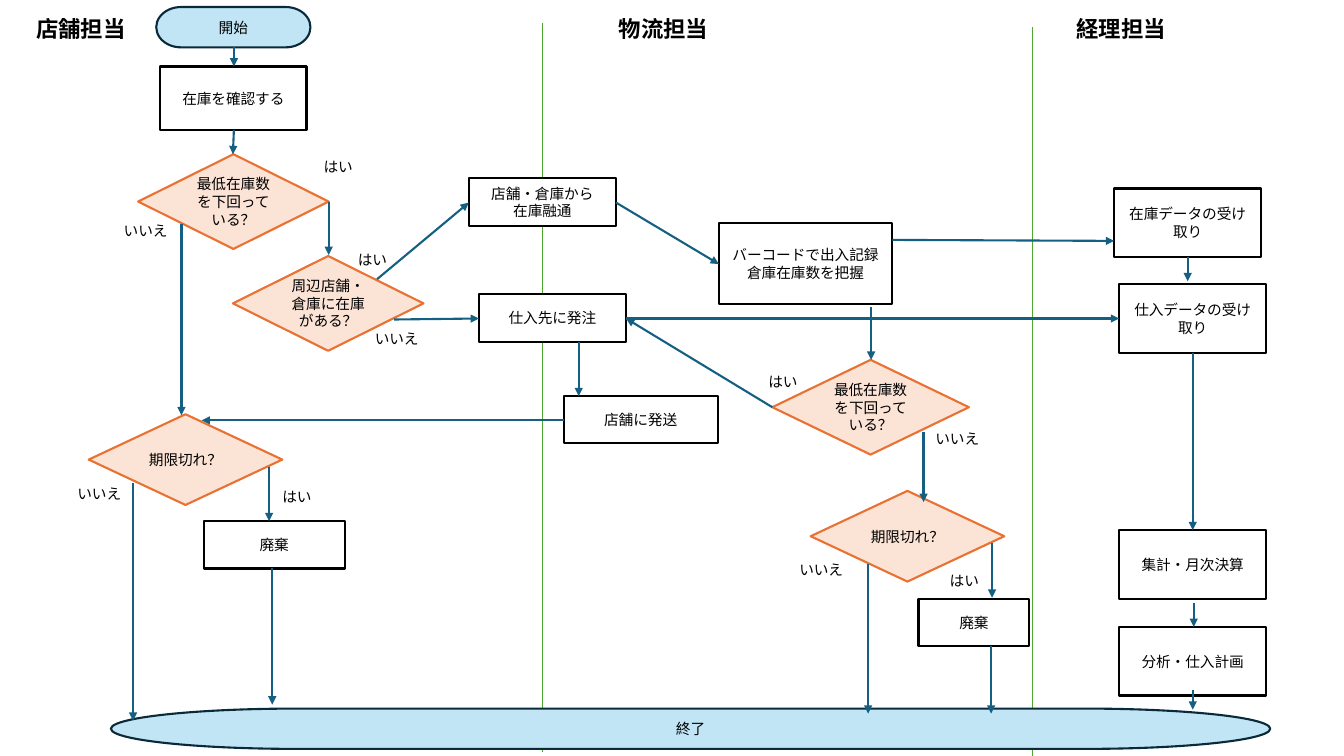
from lxml.etree import SubElement
from pptx import Presentation
from pptx.dml.color import RGBColor
from pptx.enum.shapes import MSO_CONNECTOR, MSO_SHAPE
from pptx.enum.text import MSO_ANCHOR, PP_ALIGN
from pptx.oxml.ns import qn
from pptx.util import Pt

PX = 9144  # 100 px to the inch
FONT = "Noto Sans CJK JP"
BLACK = RGBColor(0x00, 0x00, 0x00)
WHITE = RGBColor(0xFF, 0xFF, 0xFF)
GREEN = RGBColor(0x4E, 0xA7, 0x2E)
TEAL = RGBColor(0x15, 0x60, 0x82)
SKY = RGBColor(0xC1, 0xE5, 0xF5)
NAVY = RGBColor(0x09, 0x2A, 0x39)
PEACH = RGBColor(0xFB, 0xE3, 0xD6)
ORANGE = RGBColor(0xE9, 0x71, 0x32)

deck = Presentation()
deck.slide_width, deck.slide_height = 1333 * PX, 750 * PX
page = deck.slides.add_slide(deck.slide_layouts[6])


def write(box, text, size=10.5, bold=False, align=PP_ALIGN.CENTER, anchor=MSO_ANCHOR.MIDDLE):
    frame = box.text_frame
    frame.word_wrap = True
    frame.vertical_anchor = anchor
    for number, line in enumerate(text.split("\n")):
        para = frame.add_paragraph() if number else frame.paragraphs[0]
        para.alignment = align
        span = para.add_run()
        span.text = line
        span.font.size = Pt(size)
        span.font.bold = bold
        span.font.color.rgb = BLACK
        span.font.name = FONT
        SubElement(span.font._element, qn("a:ea"), typeface=FONT)


def draw_line(x1, y1, x2, y2, color, width, arrow=False):
    line = page.shapes.add_connector(
        MSO_CONNECTOR.STRAIGHT, x1 * PX, y1 * PX, x2 * PX, y2 * PX)
    line.line.color.rgb = color
    line.line.width = Pt(width)
    if arrow:
        SubElement(line.line._get_or_add_ln(), qn("a:tailEnd"), type="triangle")
    SubElement(line._element.spPr, qn("a:effectLst"))


# Lanes
draw_line(538, 23, 538, 746, GREEN, 1)
draw_line(1024, 27, 1024, 750, GREEN, 1)
for left, lane in [(26, "店舗担当"), (604, "物流担当"), (1058, "経理担当")]:
    title = page.shapes.add_textbox(left * PX, 10 * PX, 125 * PX, 37 * PX)
    write(title, lane, 16, True, PP_ALIGN.LEFT, MSO_ANCHOR.TOP)

# Steps: left, top, width, height, text
terminators = [(155, 7, 153, 40, "開始"), (110, 703, 1150, 40, "終了")]
processes = [
    (159, 66, 145, 63, "在庫を確認する"),
    (202, 517, 140, 47, "廃棄"),
    (465, 177, 146, 47, "店舗・倉庫から\n在庫融通"),
    (475, 292, 146, 47, "仕入先に発注"),
    (559, 393, 153, 47, "店舗に発送"),
    (713, 221, 172, 81, "バーコードで出入記録倉庫在庫数を把握"),
    (911, 594, 110, 47, "廃棄"),
    (1105, 187, 146, 68, "在庫データの受け取り"),
    (1110, 282, 146, 68, "仕入データの受け取り"),
    (1110, 526, 146, 68, "集計・月次決算"),
    (1110, 622, 146, 68, "分析・仕入計画"),
]
decisions = [
    (137, 153, 189, 94, "最低在庫数を下回っている？"),
    (231, 254, 189, 94, "周辺店舗・倉庫に在庫がある？"),
    (88, 411, 192, 90, "期限切れ？"),
    (766, 357, 195, 94, "最低在庫数を下回っている？"),
    (804, 487, 192, 90, "期限切れ？"),
]
for kind, fill, outline, steps in [
    (MSO_SHAPE.FLOWCHART_TERMINATOR, SKY, NAVY, terminators),
    (MSO_SHAPE.RECTANGLE, WHITE, BLACK, processes),
    (MSO_SHAPE.FLOWCHART_DECISION, PEACH, ORANGE, decisions),
]:
    for left, top, width, height, text in steps:
        step = page.shapes.add_shape(kind, left * PX, top * PX, width * PX, height * PX)
        step.shadow.inherit = False
        step.fill.solid()
        step.fill.fore_color.rgb = fill
        step.line.color.rgb = outline
        step.line.width = Pt(1.5)
        write(step, text)

# Arrows: start x, start y, end x, end y
for ends in [
    # Shop
    (232, 47, 232, 66), (232, 129, 231, 153), (326, 200, 326, 253),
    (180, 222, 180, 412), (374, 277, 465, 201), (391, 317, 475, 316),
    (132, 479, 132, 715), (267, 463, 267, 517), (270, 564, 270, 699),
    # Logistics
    (574, 339, 574, 393), (559, 417, 200, 417), (611, 201, 713, 262),
    (766, 404, 621, 316), (864, 305, 864, 357), (916, 429, 916, 498),
    (861, 560, 861, 708), (984, 539, 984, 593), (983, 641, 983, 708),
    # Accounting
    (885, 238, 1105, 239), (621, 316, 1110, 316), (1178, 255, 1178, 279),
    (1183, 350, 1183, 526), (1184, 598, 1184, 622), (1183, 685, 1183, 704),
]:
    draw_line(*ends, TEAL, 1.5, arrow=True)

# Answers: left, top, width
answers = {
    "はい": [(302, 142, 67), (336, 234, 67), (261, 469, 67), (743, 355, 67), (923, 553, 67)],
    "いいえ": [(103, 205, 83), (360, 312, 67), (65, 466, 67), (916, 412, 67), (781, 542, 67)],
}
for answer, places in answers.items():
    for left, top, width in places:
        label = page.shapes.add_textbox(left * PX, top * PX, width * PX, 47 * PX)
        write(label, answer)

deck.save("out.pptx")
